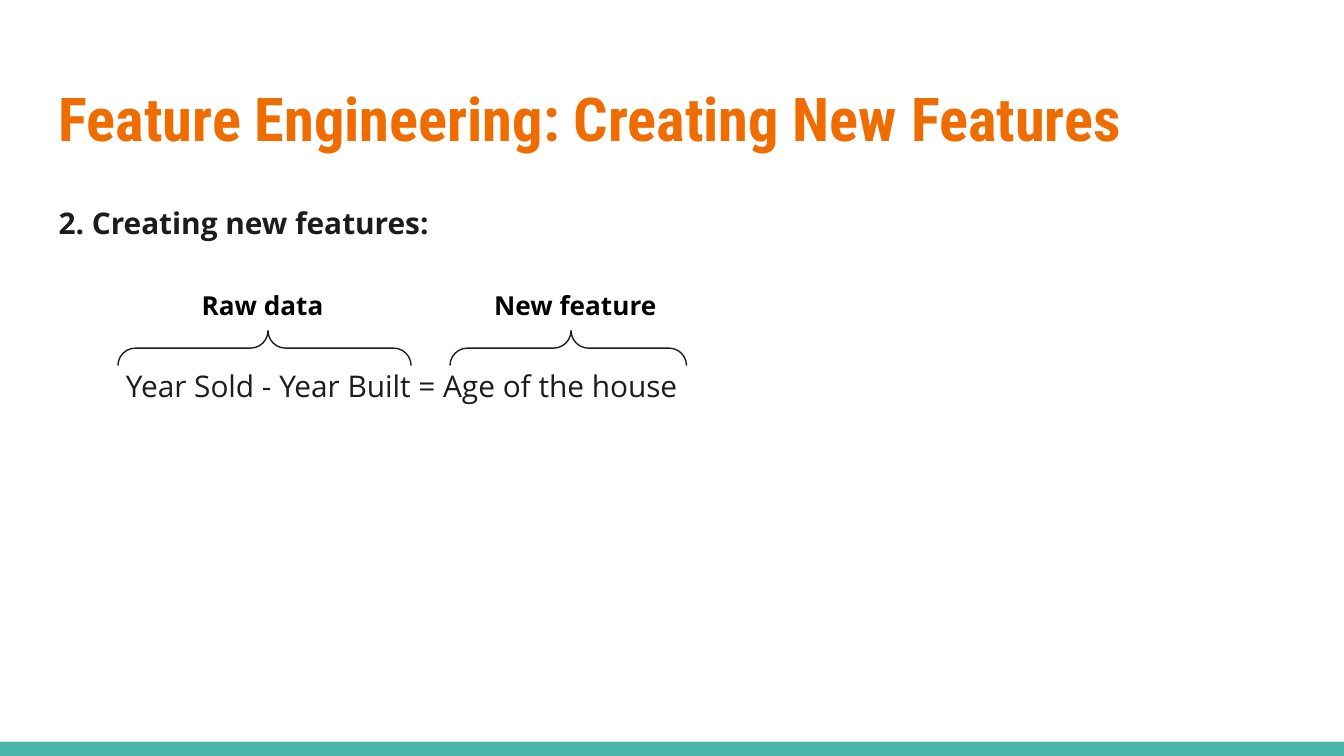
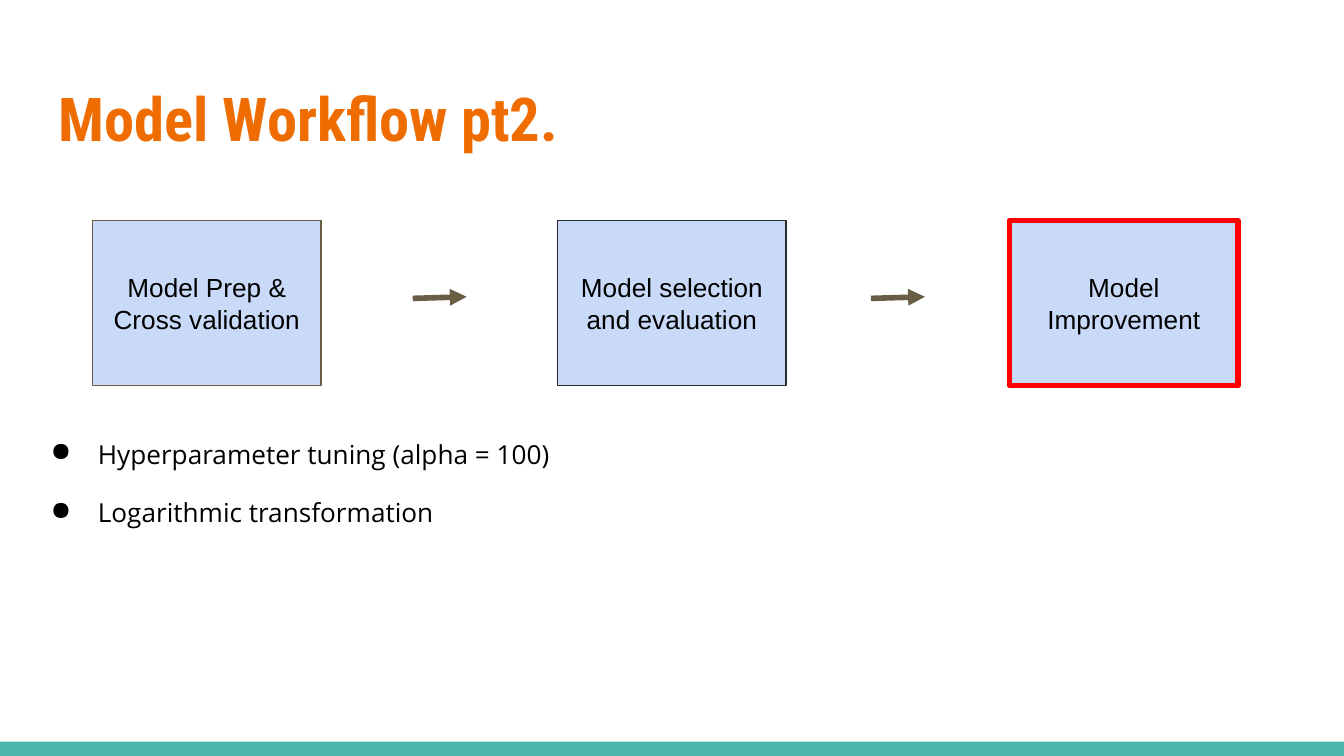
import pptx
import pptx.dml.color
import pptx.enum.shapes
import pptx.enum.text
import pptx.oxml.ns
import pptx.util
from lxml import etree

Cm = pptx.util.Cm
Pt = pptx.util.Pt
SHAPES = pptx.enum.shapes.MSO_SHAPE
ALIGN = pptx.enum.text.PP_ALIGN
ANCHOR = pptx.enum.text.MSO_ANCHOR

WIDE, HIGH = 25.4, 14.29
LEFT, SPAN = 0.86, 23.67
ORANGE, TEAL, BLUE, RED = "EF6C00", "4DB6AC", "C9DAF8", "FF0000"
BLACK, INK, GREY, BROWN = "000000", "1D1C1D", "292929", "695D46"
HEAD, BODY, PLAIN = "Roboto Condensed", "Open Sans", "Arial"


def color(code):
    return pptx.dml.color.RGBColor.from_string(code)


def child(node, tag, **attrs):
    return etree.SubElement(node, pptx.oxml.ns.qn(tag), attrs)


def frame(shape, anchor=ANCHOR.TOP):
    text = shape.text_frame
    text.word_wrap = True
    text.vertical_anchor = anchor
    text.margin_left = text.margin_right = Cm(0.25)
    text.margin_top = text.margin_bottom = Cm(0.25)
    return text


def write(para, words, size, font, code, bold=False):
    run = para.add_run()
    run.text = words
    run.font.size = Pt(size)
    run.font.name = font
    run.font.bold = bold
    run.font.color.rgb = color(code)


def text_box(slide, left, top, width, height, anchor=ANCHOR.TOP):
    box = slide.shapes.add_textbox(Cm(left), Cm(top), Cm(width), Cm(height))
    return frame(box, anchor)


def shape(slide, kind, left, top, width, height, fill=None, line=None, weight=0.75):
    item = slide.shapes.add_shape(kind, Cm(left), Cm(top), Cm(width), Cm(height))
    item.shadow.inherit = False
    if fill:
        item.fill.solid()
        item.fill.fore_color.rgb = color(fill)
    else:
        item.fill.background()
    if line:
        item.line.color.rgb = color(line)
        item.line.width = Pt(weight)
    else:
        item.line.fill.background()
    return item


def page(deck, title):
    slide = deck.slides.add_slide(deck.slide_layouts[6])
    shape(slide, SHAPES.RECTANGLE, 0, 14.02, WIDE, 0.27, TEAL)
    text = text_box(slide, LEFT, 1.24, SPAN, 1.96, ANCHOR.MIDDLE)
    write(text.paragraphs[0], title, 32.4, HEAD, ORANGE, True)
    return slide


def brace(slide, mid, length):
    depth, level = 0.66, 6.58
    item = shape(slide, SHAPES.RIGHT_BRACE, mid - depth / 2, level - length / 2,
                 depth, length, line=INK)
    item.rotation = 270
    item.adjustments[0] = 0.5
    item.adjustments[1] = 0.512


def label(slide, words, left, width):
    text = text_box(slide, left, 5.23, width, 1.12)
    write(text.paragraphs[0], words, 14, BODY, BLACK, True)


def step(slide, words, left, line, weight):
    item = shape(slide, SHAPES.RECTANGLE, left, 4.17, 4.32, 3.12, BLUE, line, weight)
    para = frame(item, ANCHOR.MIDDLE).paragraphs[0]
    para.alignment = ALIGN.CENTER
    write(para, words, 14, PLAIN, BLACK)


def arrow(slide, left):
    item = slide.shapes.add_connector(pptx.enum.shapes.MSO_CONNECTOR.STRAIGHT,
                                      Cm(left), Cm(5.64), Cm(left + 1.02), Cm(5.61))
    item.line.color.rgb = color(BROWN)
    item.line.width = Pt(3)
    child(item.line._get_or_add_ln(), "a:tailEnd", type="triangle")
    child(item._element.spPr, "a:effectLst")


def bullet(para):
    props = para._p.get_or_add_pPr()
    props.set("marL", str(Cm(1.27)))
    props.set("indent", str(Cm(-0.89)))
    child(child(props, "a:buClr"), "a:srgbClr", val=BLACK)
    child(props, "a:buChar", char="●")


def features(deck):
    slide = page(deck, "Feature Engineering: Creating New Features")
    text = text_box(slide, LEFT, 3.51, SPAN, 9.17)
    lead = text.paragraphs[0]
    lead.line_spacing = 1.15
    write(lead, "2. Creating new features:", 16, BODY, INK, True)
    sum_line = text.add_paragraph()
    sum_line._p.get_or_add_pPr().set("marL", str(Cm(1.27)))
    sum_line.line_spacing = 1.15
    sum_line.space_before = Pt(65.5)
    write(sum_line, "Year Sold - Year Built = Age of the house", 16, BODY, INK)
    for mid, length in ((5, 5.54), (10.74, 4.47)):
        brace(slide, mid, length)
    label(slide, "New feature", 9.09, 4.06)
    label(slide, "Raw data", 3.56, 2.87)


def workflow(deck):
    slide = page(deck, "Model Workflow pt2.")
    for words, left, line, weight in (
        ("Model Prep & Cross validation", 1.75, BROWN, 0.75),
        ("Model selection and evaluation", 10.54, GREY, 0.75),
        ("Model Improvement", 19.08, RED, 3),
    ):
        step(slide, words, left, line, weight)
    for left in (7.8, 16.46):
        arrow(slide, left)
    text = text_box(slide, 0.33, 8.03, 20.35, 4.11)
    first, second = text.paragraphs[0], text.add_paragraph()
    second.space_before = Pt(14.7)
    for para, words in ((first, "Hyperparameter tuning (alpha = 100)"),
                        (second, "Logarithmic transformation")):
        bullet(para)
        write(para, words, 14, BODY, BLACK)


def main():
    deck = pptx.Presentation()
    deck.slide_width, deck.slide_height = Cm(WIDE), Cm(HIGH)
    features(deck)
    workflow(deck)
    deck.save("out.pptx")


if __name__ == "__main__":
    main()
